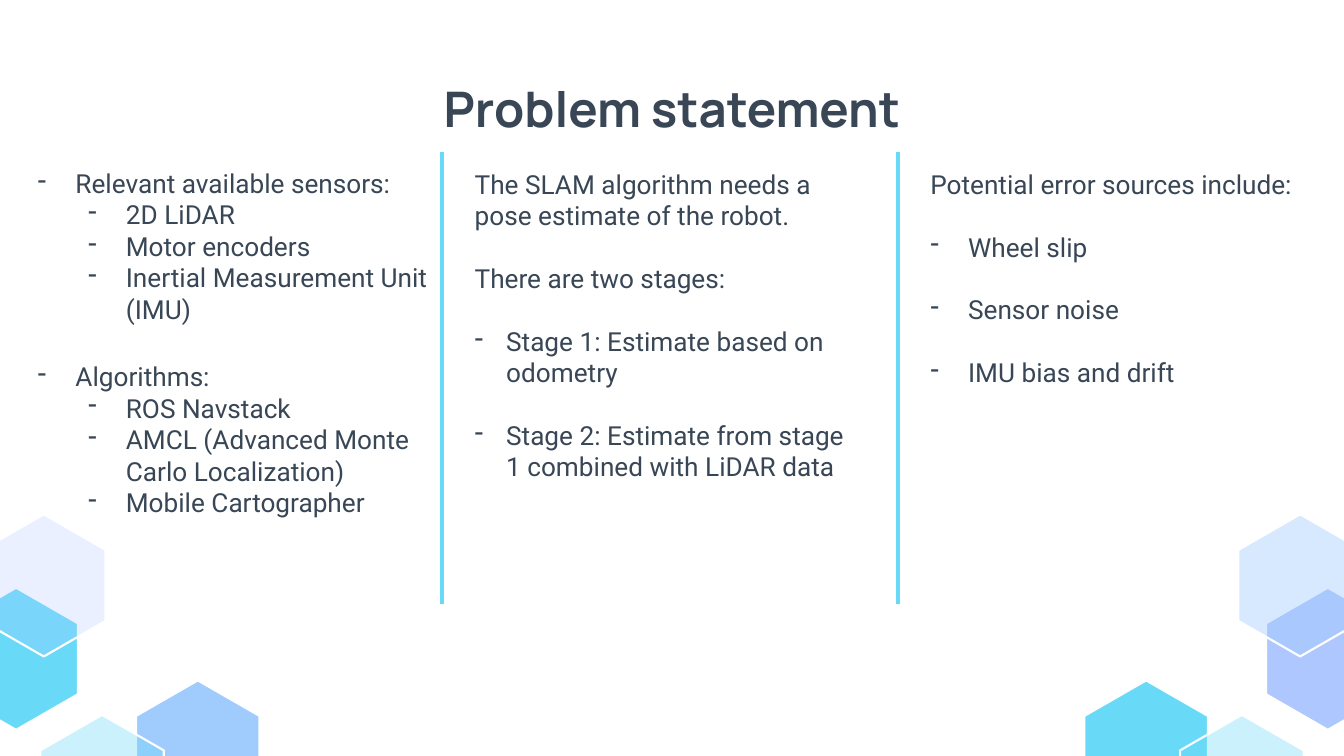
from dataclasses import dataclass

from lxml.etree import SubElement
from pptx import Presentation
from pptx.dml.color import RGBColor as RGB
from pptx.enum.shapes import MSO_CONNECTOR as Connector
from pptx.enum.text import MSO_ANCHOR as Anchor, MSO_AUTO_SIZE as AutoSize, PP_ALIGN as Align
from pptx.oxml.ns import qn
from pptx.util import Pt


@dataclass(frozen=True)
class Theme:
    ink: str = "384655"
    cyan: str = "68DAF8"
    blue: str = "9FCBFD"
    lilac: str = "AFC7FF"
    white: str = "FFFFFF"
    title_font: str = "Manrope"
    body_font: str = "Roboto"
    title_size: float = 35
    body_size: float = 18.7
    blank_line: float = 22.4


T = Theme()
SLIDE_W, SLIDE_H = 960, 540
HEX_W, HEX_H = 88.2, 101.5

# Each text item: kind, text, blank line before
SENSORS = [
    ("item", "Relevant available sensors:", False),
    ("sub", "2D LiDAR", False),
    ("sub", "Motor encoders", False),
    ("sub", "Inertial Measurement Unit (IMU)", False),
    ("item", "Algorithms:", True),
    ("sub", "ROS Navstack", False),
    ("sub", "AMCL (Advanced Monte Carlo Localization)", False),
    ("sub", "Mobile Cartographer", False),
]
STAGES = [
    ("plain", "The SLAM algorithm needs a pose estimate of the robot.", False),
    ("plain", "There are two stages:", True),
    ("item", "Stage 1: Estimate based on odometry", True),
    ("item", "Stage 2: Estimate from stage 1 combined with LiDAR data", True),
]
ERRORS = [
    ("plain", "Potential error sources include:", False),
    ("item", "Wheel slip", True),
    ("item", "Sensor noise", True),
    ("item", "IMU bias and drift", True),
]

# Corner hexagons: distance from the side edge, top, left fill, right fill (colour, opacity %)
HEXAGONS = [
    (97.2, 486, (T.blue, 100), (T.cyan, 100)),
    (28.8, 510.6, (T.cyan, 34), (T.cyan, 34)),
    (-32.6, 419.8, (T.cyan, 100), (T.lilac, 100)),
    (-12.8, 367.4, (T.lilac, 25), (T.blue, 41)),
]


def style_run(r, font, size, bold=False):
    r.font.name, r.font.size, r.font.bold = font, Pt(size), bold
    r.font.color.rgb = RGB.from_string(T.ink)


def set_insets(tf, across, down):
    tf.margin_left = tf.margin_right = Pt(across)
    tf.margin_top = tf.margin_bottom = Pt(down)


def add_dash(p, left, hang):
    pPr = p._p.get_or_add_pPr()
    pPr.set("marL", str(Pt(left)))
    pPr.set("indent", str(-Pt(hang)))
    color = SubElement(pPr, qn("a:buClr"))
    SubElement(color, qn("a:srgbClr"), val=T.ink)
    SubElement(pPr, qn("a:buChar"), char="-")


def add_hexagon(s, x, y, color, opacity):
    right, middle = x + HEX_W, x + HEX_W / 2
    upper, lower = y + HEX_H / 4, y + HEX_H * 3 / 4
    points = [(right, upper), (right, lower), (middle, y + HEX_H), (x, lower), (x, upper)]
    builder = s.shapes.build_freeform(Pt(middle), Pt(y))
    builder.add_line_segments([(Pt(px), Pt(py)) for px, py in points], close=True)
    sp = builder.convert_to_shape()
    sp.shadow.inherit = False
    sp.fill.solid()
    sp.fill.fore_color.rgb = RGB.from_string(color)
    if opacity < 100:
        clr = sp._element.spPr.find(qn("a:solidFill"))[0]
        SubElement(clr, qn("a:alpha"), val=str(opacity * 1000))
    sp.line.color.rgb = RGB.from_string(T.white)
    sp.line.width = Pt(1.5)


def add_corners(s, width):
    for edge, top, left_fill, right_fill in HEXAGONS:
        add_hexagon(s, edge, top, *left_fill)
        add_hexagon(s, width - edge - HEX_W, top, *right_fill)


def add_title(s, x, y, w, h, text):
    sp = s.shapes.title
    sp.left, sp.top, sp.width, sp.height = Pt(x), Pt(y), Pt(w), Pt(h)
    tf = sp.text_frame
    tf.text = text
    tf.auto_size, tf.vertical_anchor = AutoSize.NONE, Anchor.MIDDLE
    set_insets(tf, 9.6, 9.6)
    p = tf.paragraphs[0]
    p.alignment = Align.CENTER
    style_run(p.runs[0], T.title_font, T.title_size, bold=True)


def add_column(s, x, y, w, h, items, hang=27, insets=(7.2, 3.6), item_spacing=1.0):
    tf = s.shapes.add_textbox(Pt(x), Pt(y), Pt(w), Pt(h)).text_frame
    tf.word_wrap = True
    set_insets(tf, *insets)
    for i, (kind, text, gap) in enumerate(items):
        p = tf.add_paragraph() if i else tf.paragraphs[0]
        p.text = text
        if gap:
            p.space_before = Pt(T.blank_line)
        if kind == "item":
            p.line_spacing = item_spacing
            add_dash(p, hang, hang)
        elif kind == "sub":
            p.level = 1
            add_dash(p, hang + 36, hang)
        style_run(p.runs[0], T.body_font, T.body_size)


def add_divider(s, x, y, h):
    line = s.shapes.add_connector(Connector.STRAIGHT, Pt(x), Pt(y), Pt(x), Pt(y + h))
    line.line.color.rgb = RGB.from_string(T.cyan)
    line.line.width = Pt(3)
    SubElement(line._element.spPr, qn("a:effectLst"))


def add_problem_slide(prs):
    s = prs.slides.add_slide(prs.slide_layouts[5])
    # Decoration
    add_corners(s, SLIDE_W)
    # Title
    add_title(s, 0, 46.8, SLIDE_W, 60.5, "Problem statement")
    # Three columns of text
    add_column(s, 17.3, 106.6, 298.8, 268.6, SENSORS, insets=(9.6, 9.6), item_spacing=1.15)
    add_column(s, 332, 116.6, 293, 233.3, STAGES, hang=22.5)
    add_column(s, 657.4, 116.6, 277.2, 187.9, ERRORS)
    # Dividers
    for x in (315.6, 641.5):
        add_divider(s, x, 108.7, 322.6)


def main():
    prs = Presentation()
    prs.slide_width, prs.slide_height = Pt(SLIDE_W), Pt(SLIDE_H)
    add_problem_slide(prs)
    prs.save("out.pptx")


if __name__ == "__main__":
    main()
